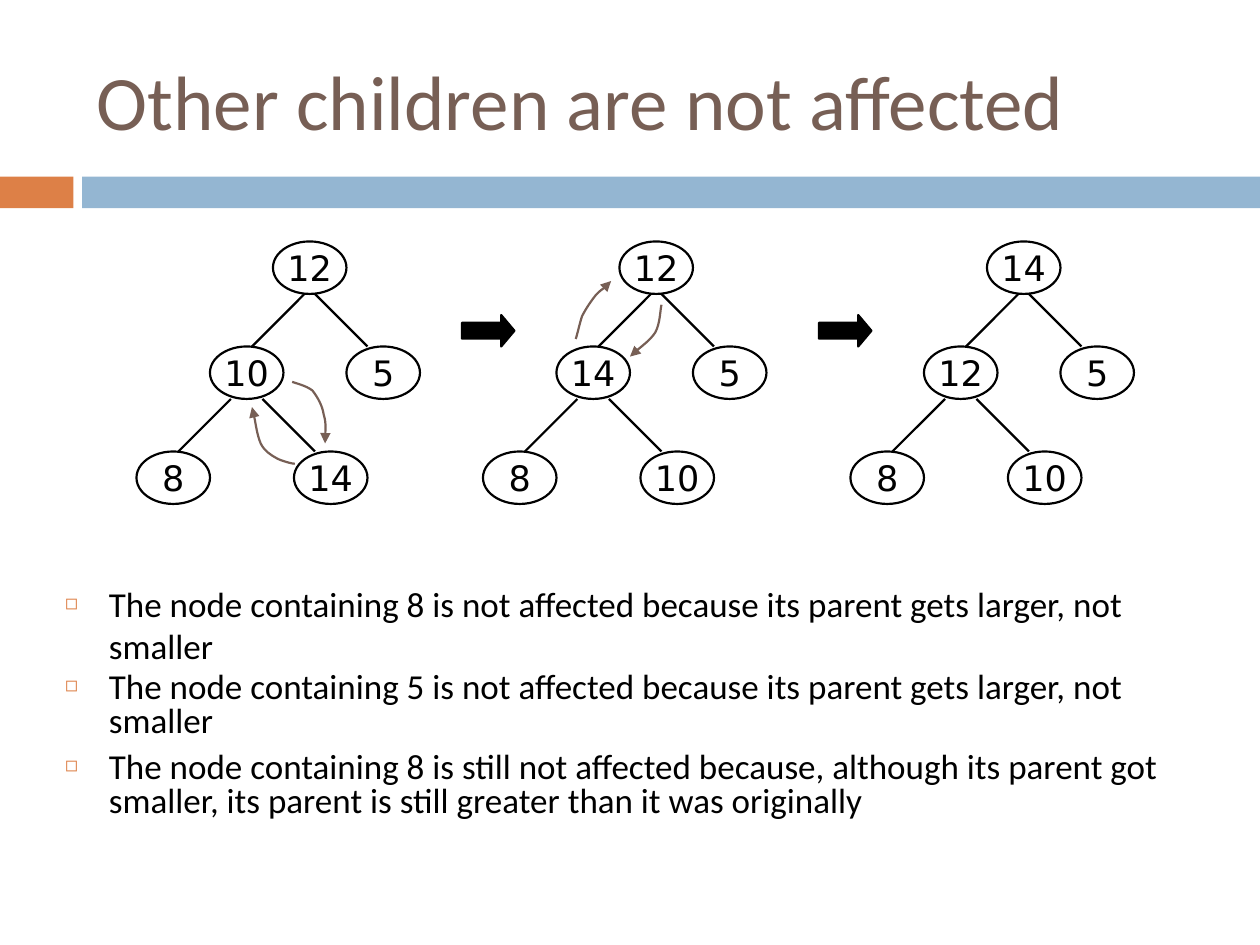
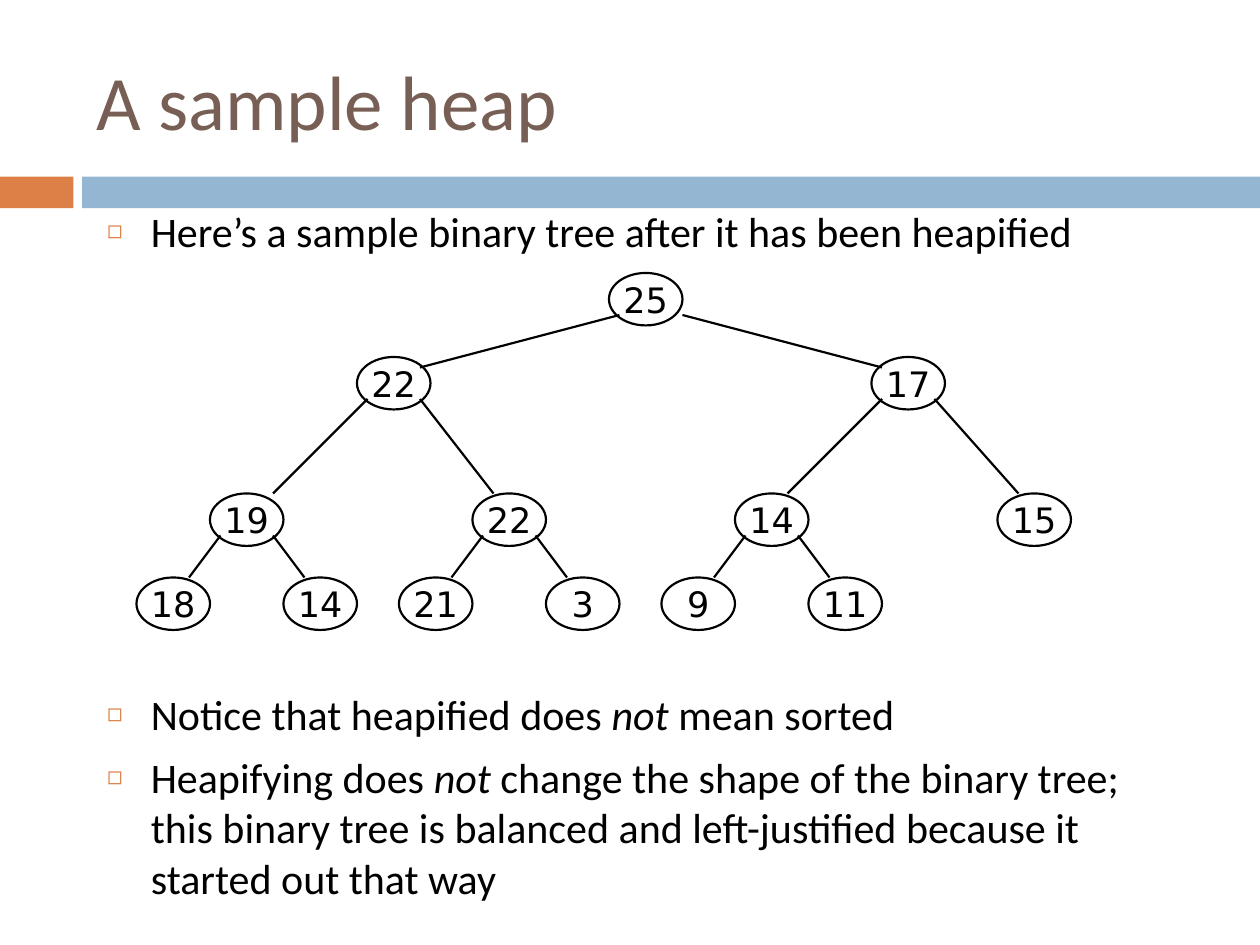
from lxml.etree import SubElement
from pptx import Presentation
from pptx.dml.color import RGBColor
from pptx.enum.shapes import MSO_CONNECTOR as Connector, MSO_SHAPE as Shape
from pptx.enum.text import MSO_ANCHOR as Anchor, MSO_AUTO_SIZE as AutoSize, PP_ALIGN as Align
from pptx.oxml.ns import qn
from pptx.util import Pt

BLACK = RGBColor(0x00, 0x00, 0x00)
BROWN = RGBColor(0x77, 0x5F, 0x55)
ORANGE = RGBColor(0xDD, 0x80, 0x47)
BLUE = RGBColor(0x94, 0xB6, 0xD2)
TEXT_FONT, NODE_FONT = "Calibri", "DejaVu Sans"
NODE_W, NODE_H = 42, 30
LINE_W = 1.25

BANDS = [((0, 101, 42, 18), ORANGE), ((47, 101, 673, 18), BLUE)]
TITLE_BOX = (48, 18, 642, 78)

SWAP_TITLE = "Other children are not affected"
SWAP_NOTES = [
    ((30, 329, 649, 55), 1.0, [
        "The node containing 8 is not affected because its parent gets larger, not smaller",
    ]),
    ((30, 381, 662, 96), 0.8, [
        "The node containing 5 is not affected because its parent gets larger, not smaller",
        "The node containing 8 is still not affected because, although its parent got "
        "smaller, its parent is still greater than it was originally",
    ]),
]
SWAP_STEPS = [(0, [12, 10, 5, 8, 14]), (198, [12, 14, 5, 8, 10]), (408, [14, 12, 5, 8, 10])]
SWAP_PLACES = [(156, 138), (120, 198), (198, 198), (78, 258), (168, 258)]
SWAP_EDGES = [((-3, 0), (3, 0)), ((3, 0), (-9, 0)), ((-9, 0), (3, 0)), ((9, 0), (-9, 0))]
STEP_ARROWS = [264, 468]
SWAP_CURVES = [
    [(168.5, 265), (167, 265), (161.3, 263.5), (158.4, 262), (154.8, 260),
     (151.2, 257.8), (149, 253.4), (146.9, 248.4), (145.4, 236.9), (144, 232.6)],
    [(167, 218.2), (168.5, 218.9), (175, 220.3), (178.6, 223.2), (181.4, 226.8),
     (184.3, 231.8), (185, 236.9), (186.5, 241.9), (185.8, 250.6), (185.8, 253.4)],
    [(329, 193.7), (329.8, 191.5), (331.2, 185), (332.6, 180.7), (334.8, 176.4),
     (337.7, 172.1), (340.6, 168.5), (343.4, 165.6), (349.2, 162), (349.2, 160.6)],
    [(378, 174.2), (377.3, 176.4), (377.3, 185), (374.4, 190.1),
     (371.5, 194.4), (362.9, 200.9), (360, 203.8)],
]

HEAP_TITLE = "A sample heap"
HEAP_NOTES = [
    ((54, 114, 612, 60), 1.0, ["Here’s a sample binary tree after it has been heapified"]),
    ((54, 390, 612, 132), 1.0, [
        "Notice that heapified does *not* mean sorted",
        "Heapifying does *not* change the shape of the binary tree; this binary tree is "
        "balanced and left-justified because it started out that way",
    ]),
]
HEAP_VALUES = [25, 22, 17, 19, 22, 14, 15, 18, 14, 21, 3, 9, 11]
HEAP_INNER_X = [120 + 150 * column for column in range(4)]
HEAP_PLACES = (
    [(348, 156), (204, 204), (498, 204)]
    + [(x, 282) for x in HEAP_INNER_X]
    + [(x + side, 330) for x in HEAP_INNER_X[:3] for side in (-42, 42)]
)
HEAP_EDGES = [
    ((-15, -6), (15, 6)), ((21, -6), (-15, 6)),
    ((-15, -6), (15, 0)), ((15, -6), (-9, 0)),
] + [((-15, -6), (9, 0)), ((15, -6), (-9, 0))] * 4


def points(values):
    return [Pt(value) for value in values]


def move(shape, box):
    shape.left, shape.top, shape.width, shape.height = points(box)


def style_font(font, name, size, color):
    font.name, font.size, font.color.rgb = name, Pt(size), color


def style_line(shape, color):
    shape.line.color.rgb = color
    shape.line.width = Pt(LINE_W)


def add_solid(slide, kind, box, color):
    shape = slide.shapes.add_shape(kind, *points(box))
    shape.shadow.inherit = False
    shape.fill.solid()
    shape.fill.fore_color.rgb = color
    shape.line.fill.background()
    return shape


def add_bullet(paragraph):
    props = paragraph._p.get_or_add_pPr()
    props.set("marL", str(Pt(25)))
    props.set("indent", str(-Pt(25)))
    color = SubElement(props, qn("a:buClr"))
    SubElement(color, qn("a:srgbClr"), val=str(ORANGE))
    SubElement(props, qn("a:buSzPct"), val="60000")
    SubElement(props, qn("a:buChar"), char="◻")


def fill_notes(body, box, spacing, notes, size):
    move(body, box)
    frame = body.text_frame
    frame.auto_size = AutoSize.NONE
    frame.vertical_anchor = Anchor.TOP
    for number, note in enumerate(notes):
        paragraph = frame.add_paragraph() if number else frame.paragraphs[0]
        add_bullet(paragraph)
        paragraph.line_spacing = spacing
        paragraph.space_before = Pt(7 if number else 0)
        style_font(paragraph.font, TEXT_FONT, size, BLACK)
        for part, text in enumerate(note.split("*")):
            run = paragraph.add_run()
            run.text = text
            if part % 2:
                run.font.italic = True


def start_slide(prs, title_text, notes, size):
    slide = prs.slides.add_slide(prs.slide_layouts[3])
    for box, color in BANDS:
        add_solid(slide, Shape.RECTANGLE, box, color)
    title = slide.shapes.title
    move(title, TITLE_BOX)
    frame = title.text_frame
    frame.text = title_text
    frame.auto_size = AutoSize.NONE
    frame.vertical_anchor = Anchor.MIDDLE
    heading = frame.paragraphs[0]
    heading.alignment = Align.LEFT
    style_font(heading.font, TEXT_FONT, 44, BROWN)
    for index, (box, spacing, lines) in enumerate(notes, 1):
        fill_notes(slide.placeholders[index], box, spacing, lines, size)
    return slide


def add_node(shapes, value, x, y):
    node = shapes.add_shape(Shape.OVAL, *points((x, y, NODE_W, NODE_H)))
    node.shadow.inherit = False
    node.fill.background()
    style_line(node, BLACK)
    frame = node.text_frame
    frame.word_wrap = False
    frame.vertical_anchor = Anchor.MIDDLE
    frame.text = str(value)
    label = frame.paragraphs[0]
    label.alignment = Align.CENTER
    style_font(label.font, NODE_FONT, 20, BLACK)


def add_edge(shapes, parent, child, edge):
    (start_x, start_y), (end_x, end_y) = edge
    middle = NODE_W / 2
    ends = (parent[0] + middle + start_x, parent[1] + NODE_H + start_y,
            child[0] + middle + end_x, child[1] + end_y)
    line = shapes.add_connector(Connector.STRAIGHT, *points(ends))
    style_line(line, BLACK)
    SubElement(line.element.spPr, qn("a:effectLst"))


def add_tree(slide, values, places, edges, shift=0):
    shapes = slide.shapes.add_group_shape().shapes
    spots = [(x + shift, y) for x, y in places]
    for index, (value, spot) in enumerate(zip(values, spots)):
        add_node(shapes, value, *spot)
        if index:
            add_edge(shapes, spots[(index - 1) // 2], spot, edges[index - 1])


def add_curve(slide, curve):
    start, *controls = [points(point) for point in curve]
    builder = slide.shapes.build_freeform(*start, scale=1.0)
    builder.add_line_segments(controls, close=False)
    arrow = builder.convert_to_shape()
    arrow.shadow.inherit = False
    arrow.fill.background()
    style_line(arrow, BROWN)
    props = arrow.element.spPr
    SubElement(props.find(qn("a:ln")), qn("a:tailEnd"), type="triangle")
    outline = props.find(".//" + qn("a:path"))
    for index, segment in enumerate(outline.findall(qn("a:lnTo"))):
        if index % 3 == 0:
            bezier = SubElement(outline, qn("a:cubicBezTo"))
        bezier.append(segment[0])
        outline.remove(segment)


def build_swap_slide(prs):
    slide = start_slide(prs, SWAP_TITLE, SWAP_NOTES, 20)
    for shift, values in SWAP_STEPS:
        add_tree(slide, values, SWAP_PLACES, SWAP_EDGES, shift)
    for x in STEP_ARROWS:
        arrow = add_solid(slide, Shape.RIGHT_ARROW, (x, 180, 30, 18), BLACK)
        arrow.adjustments[0], arrow.adjustments[1] = 0.5, 0.42
        style_line(arrow, BLACK)
    for curve in SWAP_CURVES:
        add_curve(slide, curve)


def build_heap_slide(prs):
    slide = start_slide(prs, HEAP_TITLE, HEAP_NOTES, 24)
    add_tree(slide, HEAP_VALUES, HEAP_PLACES, HEAP_EDGES)


def main():
    prs = Presentation()
    prs.slide_width, prs.slide_height = Pt(720), Pt(540)
    build_swap_slide(prs)
    build_heap_slide(prs)
    prs.save("out.pptx")


if __name__ == "__main__":
    main()
